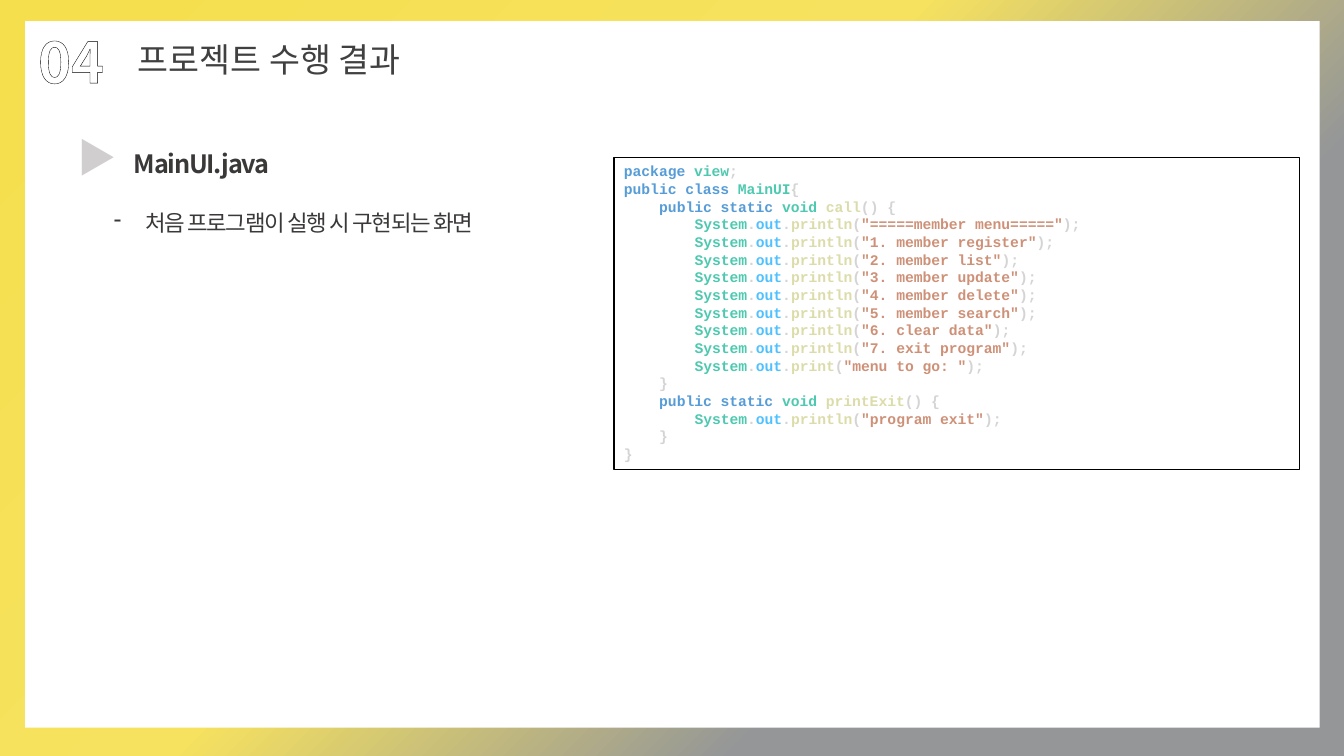
from pptx import Presentation
from pptx import util as u
from pptx.dml.color import RGBColor
from pptx.enum import shapes, text
from pptx.oxml import parse_xml
from pptx.oxml.ns import nsdecls

COLORS = {
    "white": "FFFFFF", "black": "000000", "dark": "3B3838", "title": "404040",
    "gray": "939597", "pale": "D0CECE", "key": "569CD6", "type": "4EC9B0",
    "field": "4FC1FF", "func": "DCDCAA", "text": "CE9178", "mark": "D4D4D4",
}
STOPS = [(0, "F5DF4D", 100), (44, "F6E25F", 70),
         (71, "949698", 70), (100, "939597", 100)]
SANS = "Noto Sans CJK KR"
MONO = "Courier New"
MENU = ["=====member menu=====", "1. member register", "2. member list",
        "3. member update", "4. member delete", "5. member search",
        "6. clear data", "7. exit program"]


def color(name):
    return RGBColor.from_string(COLORS[name])


def xml(tag, body, attrs=""):
    return parse_xml(f'<a:{tag} {nsdecls("a")} {attrs}>{body}</a:{tag}>')


def solid(value, extra=""):
    return f'<a:srgbClr val="{value}">{extra}</a:srgbClr>'


def paint_back(slide):
    fill = slide.background.fill
    fill.gradient()
    stops = "".join(
        f'<a:gs pos="{pos * 1000}">'
        + solid(value, f'<a:alpha val="{alpha * 1000}"/>' if alpha < 100 else "")
        + "</a:gs>" for pos, value, alpha in STOPS)
    body = f'<a:gsLst>{stops}</a:gsLst><a:lin ang="2700000" scaled="0"/>'
    old = slide.background._cSld.bg.bgPr.eg_fillProperties
    old.getparent().replace(old, xml("gradFill", body, 'rotWithShape="1"'))


def add_box(slide, area, fill=None, line=None):
    box = slide.shapes.add_shape(
        shapes.MSO_SHAPE.RECTANGLE, *[u.Inches(n) for n in area])
    box.shadow.inherit = False
    if fill:
        box.fill.solid()
        box.fill.fore_color.rgb = color(fill)
    else:
        box.fill.background()
    if line:
        box.line.color.rgb = color(line)
        box.line.width = u.Pt(0)
    else:
        box.line.fill.background()
    return box


def style(run, face, size, bold, shade=None, space=None):
    font = run.font
    font.name, font.size, font.bold = face, u.Pt(size), bold
    if shade:
        font.color.rgb = color(shade)
    props = run._r.get_or_add_rPr()
    props.append(xml("ea", "", f'typeface="{face}"'))
    if space:
        props.set("spc", str(space))


def add_label(slide, area, words, size, shade=None, bold=False, space=None, wrap=True):
    label = slide.shapes.add_textbox(*[u.Inches(n) for n in area])
    frame = label.text_frame
    frame.text = words
    frame.word_wrap = wrap
    frame.auto_size = text.MSO_AUTO_SIZE.SHAPE_TO_FIT_TEXT
    para = frame.paragraphs[0]
    style(para.runs[0], SANS, size, bold, shade, space)
    return para


def add_pattern(para, front, back, edge, width):
    props = para.runs[0]._r.get_or_add_rPr()
    line = f"<a:solidFill>{solid(COLORS[edge])}</a:solidFill>"
    fill = (f"<a:fgClr>{solid(COLORS[front])}</a:fgClr>"
            f"<a:bgClr>{solid(COLORS[back])}</a:bgClr>")
    props.insert(0, xml("ln", line, f'w="{u.Pt(width)}"'))
    props.insert(1, xml("pattFill", fill, 'prst="dkUpDiag"'))


def set_indent(para, left, first=0):
    props = para._p.get_or_add_pPr()
    props.set("marL", str(u.Inches(left)))
    props.set("indent", str(u.Inches(first)))
    return props


def show(words, func="println"):
    return 2, [("System", "type"), (".", "mark"), ("out", "field"),
               (".", "mark"), (func, "func"), ("(", "mark"),
               (f'"{words}"', "text"), (");", "mark")]


def method(name):
    return 1, [("public static ", "key"), ("void ", "type"),
               (name, "func"), ("() {", "mark")]


def close(level):
    return level, [("}", "mark")]


def add_code(slide, area, lines):
    frame = add_box(slide, area, line="black").text_frame
    frame.word_wrap = True
    frame.vertical_anchor = text.MSO_ANCHOR.TOP
    for row, (level, tokens) in enumerate(lines):
        para = frame.add_paragraph() if row else frame.paragraphs[0]
        para.alignment = text.PP_ALIGN.LEFT
        para.line_spacing = u.Pt(12.6)
        set_indent(para, level * 0.35)
        for words, shade in tokens:
            run = para.add_run()
            run.text = words
            style(run, MONO, 10.5, True, shade)


def main():
    deck = Presentation()
    deck.slide_width, deck.slide_height = u.Inches(13.33), u.Inches(7.5)
    slide = deck.slides.add_slide(deck.slide_layouts[6])
    paint_back(slide)
    add_box(slide, (0.25, 0.21, 12.84, 7.01), fill="white")
    add_label(slide, (1.23, 1.42, 8.11, 1.21), "MainUI.java", 18, "dark", True, -90)
    add_code(slide, (6.09, 1.56, 6.8, 3.1), [
        (0, [("package ", "key"), ("view", "type"), (";", "mark")]),
        (0, [("public class ", "key"), ("MainUI", "type"), ("{", "mark")]),
        method("call"),
        *[show(item) for item in MENU],
        show("menu to go: ", "print"),
        close(1),
        method("printExit"),
        show("program exit"),
        close(1),
        close(0),
    ])
    arrow = add_label(slide, (0.67, 1.27, 0.55, 0.57), "▶", 28, bold=True)
    add_pattern(arrow, "gray", "pale", "gray", 1)
    number = add_label(slide, (0.28, 0.22, 1.27, 0.78), "04", 40, bold=True)
    add_pattern(number, "dark", "white", "black", 1.25)
    add_label(slide, (1.27, 0.34, 3.23, 0.51), "프로젝트 수행 결과", 24, "title", wrap=False)
    note = add_label(slide, (1.03, 1.89, 4.21, 0.5),
                     "처음 프로그램이 실행 시 구현되는 화면", 16, "dark", space=-90)
    note.line_spacing = 1.5
    set_indent(note, 0.31, -0.31).append(xml("buChar", "", 'char="-"'))
    deck.save("out.pptx")


if __name__ == "__main__":
    main()
